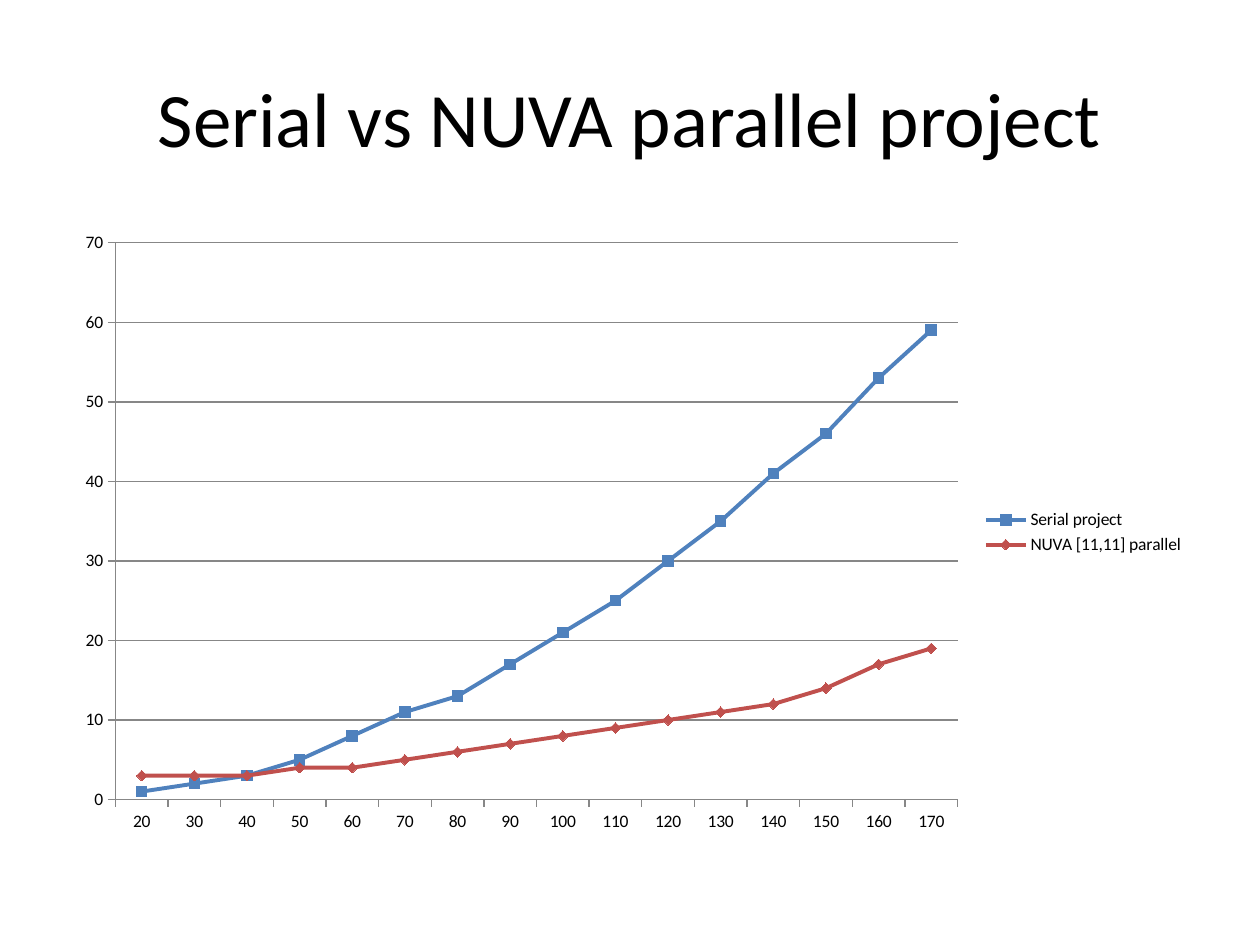
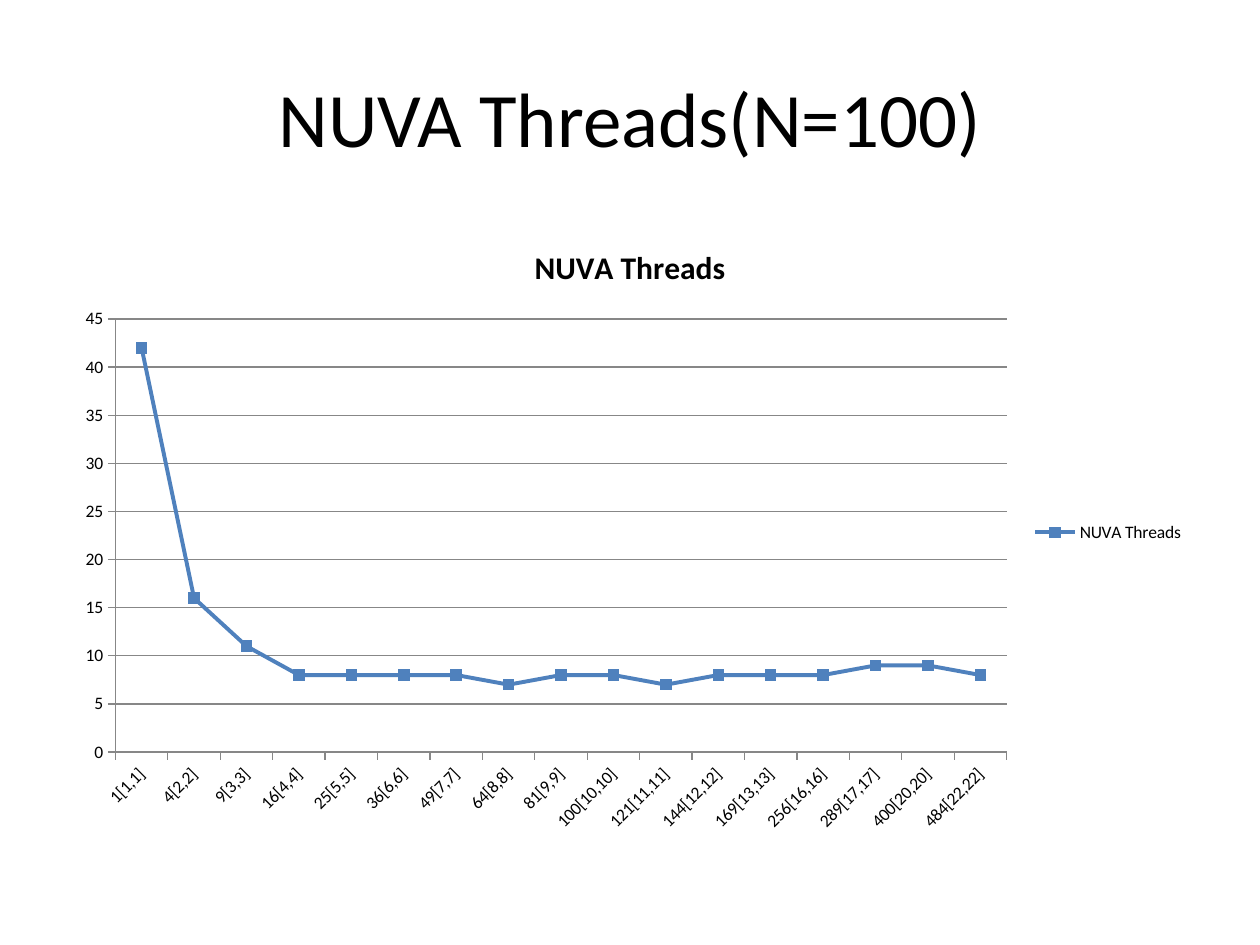
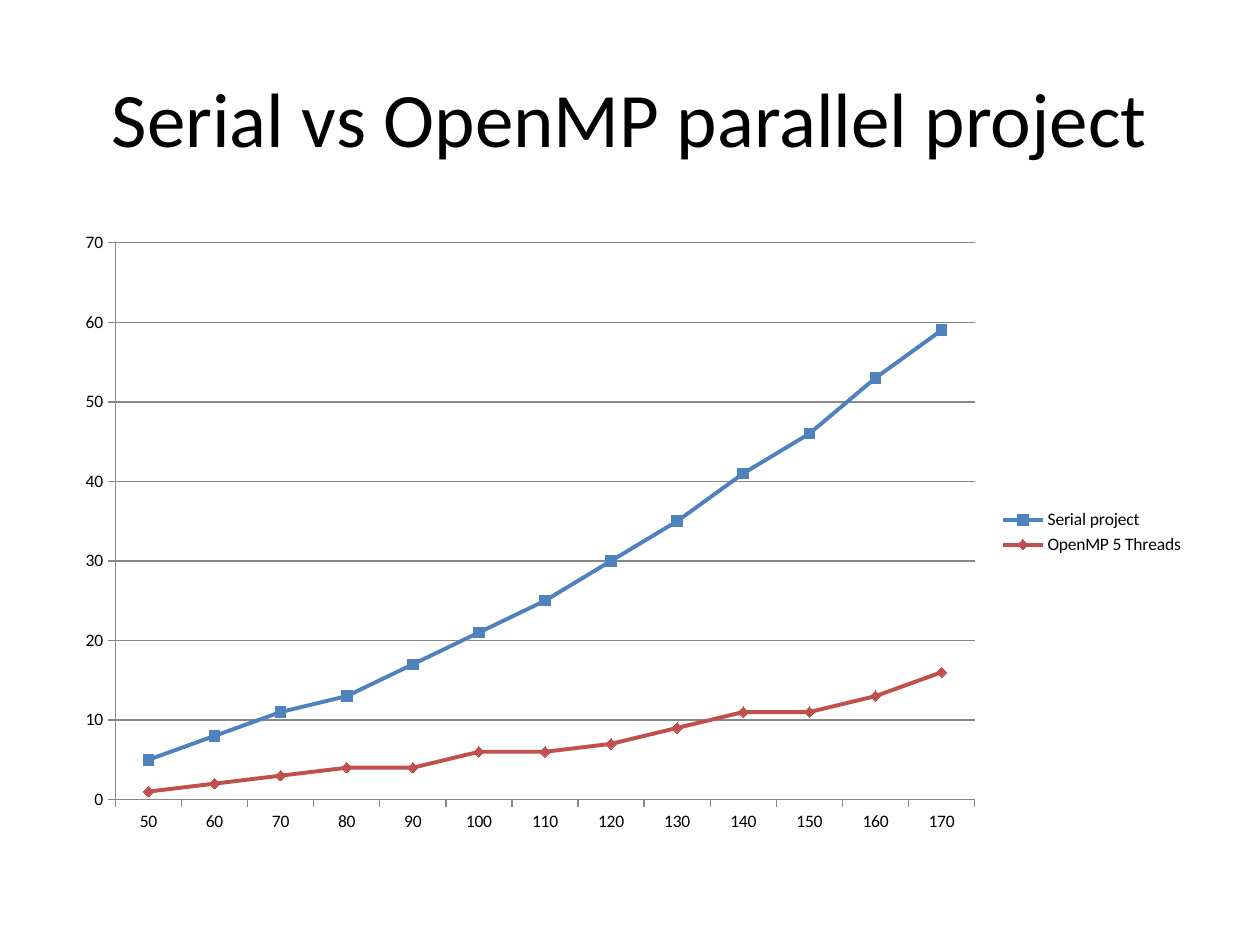
from pptx import Presentation
from pptx.chart.data import CategoryChartData
from pptx.dml.color import RGBColor
from pptx.enum.chart import XL_CHART_TYPE, XL_LEGEND_POSITION, XL_MARKER_STYLE, XL_TICK_MARK
from pptx.enum.text import MSO_ANCHOR, PP_ALIGN
from pptx.util import Inches, Pt

LINE = XL_CHART_TYPE.LINE_MARKERS
RIGHT = XL_LEGEND_POSITION.RIGHT
OUT = XL_TICK_MARK.OUTSIDE
MARKS = [XL_MARKER_STYLE.SQUARE, XL_MARKER_STYLE.DIAMOND]
CENTER, MIDDLE = PP_ALIGN.CENTER, MSO_ANCHOR.MIDDLE

FONT = "Calibri"
COLORS = {"text": "000000", "grid": "878787", "first": "4F81BD", "second": "C0504D"}
HUES = ["first", "second"]
TITLE_BOX = (0.5, 0.3, 9, 1.25)
CHART_BOX = (0.5, 1.75, 9, 4.95)
TILT = "-2700000"  # 45 degrees upwards

SERIAL = [1, 2, 3, 5, 8, 11, 13, 17, 21, 25, 30, 35, 41, 46, 53, 59]
NUVA = [3, 3, 3, 4, 4, 5, 6, 7, 8, 9, 10, 11, 12, 14, 17, 19]
OPENMP = [1, 2, 3, 4, 4, 6, 6, 7, 9, 11, 11, 13, 16]
THREADS = [42, 16, 11, 8, 8, 8, 8, 7, 8, 8, 7, 8, 8, 8, 9, 9, 8]
SIDES = [*range(1, 14), 16, 17, 20, 22]

SLIDES = [
    {"title": "Serial vs NUVA parallel project",
     "cats": [str(n) for n in range(20, 180, 10)],
     "series": {"Serial project": SERIAL, "NUVA [11,11] parallel": NUVA},
     "top": 70, "step": 10},
    {"title": "NUVA Threads(N=100)",
     "cats": [f"{n * n}[{n},{n}]" for n in SIDES],
     "series": {"NUVA Threads": THREADS},
     "top": 45, "step": 5, "head": "NUVA Threads", "tilt": True},
    {"title": "Serial vs OpenMP parallel project",
     "cats": [str(n) for n in range(50, 180, 10)],
     "series": {"Serial project": SERIAL[3:], "OpenMP 5 Threads": OPENMP},
     "top": 70, "step": 10},
]


def color(name):
    return RGBColor.from_string(COLORS[name])


def set_font(font, size, bold=False):
    font.name, font.size, font.bold = FONT, Pt(size), bold
    font.color.rgb = color("text")


def set_line(line, name, width):
    line.color.rgb = color(name)
    line.width = Pt(width)


def add_title(slide, box, text):
    title = slide.shapes.title
    title.left, title.top, title.width, title.height = map(Inches, box)
    frame = title.text_frame
    frame.text = text
    frame.vertical_anchor = MIDDLE
    para = frame.paragraphs[0]
    para.alignment = CENTER
    set_font(para.runs[0].font, 44)


def style_axes(chart, top, step, tilt):
    value = chart.value_axis
    value.minimum_scale, value.maximum_scale, value.major_unit = 0, top, step
    value.has_major_gridlines = True
    set_line(value.major_gridlines.format.line, "grid", 0.75)
    for axis in (chart.category_axis, value):
        axis.major_tick_mark = OUT
        set_line(axis.format.line, "grid", 0.75)
        set_font(axis.tick_labels.font, 10)
    if tilt:
        chart.element.xpath(".//c:catAx/c:txPr/a:bodyPr")[0].set("rot", TILT)


def add_chart(slide, box, item):
    data = CategoryChartData()
    data.categories = item["cats"]
    for name, values in item["series"].items():
        data.add_series(name, values)
    chart = slide.shapes.add_chart(LINE, *map(Inches, box), data).chart
    set_font(chart.font, 10)
    style_axes(chart, item["top"], item["step"], item.get("tilt"))

    # Heading and legend
    chart.has_title = "head" in item
    if chart.has_title:
        frame = chart.chart_title.text_frame
        frame.text = item["head"]
        set_font(frame.paragraphs[0].runs[0].font, 18, True)
    chart.has_legend = True
    chart.legend.position = RIGHT
    chart.legend.include_in_layout = False
    set_font(chart.legend.font, 10)

    # Lines and markers
    plot = chart.plots[0]
    plot.vary_by_categories = False
    for series, hue, mark in zip(plot.series, HUES, MARKS):
        series.smooth = False
        set_line(series.format.line, hue, 2.25)
        series.marker.style, series.marker.size = mark, 6
        fill = series.marker.format.fill
        fill.solid()
        fill.fore_color.rgb = color(hue)
        set_line(series.marker.format.line, hue, 0.75)


def main():
    deck = Presentation()
    deck.slide_width, deck.slide_height = Inches(10), Inches(7.5)
    layout = deck.slide_layouts.get_by_name("Title Only")
    for item in SLIDES:
        slide = deck.slides.add_slide(layout)
        add_title(slide, TITLE_BOX, item["title"])
        add_chart(slide, CHART_BOX, item)
    deck.save("out.pptx")


if __name__ == "__main__":
    main()
